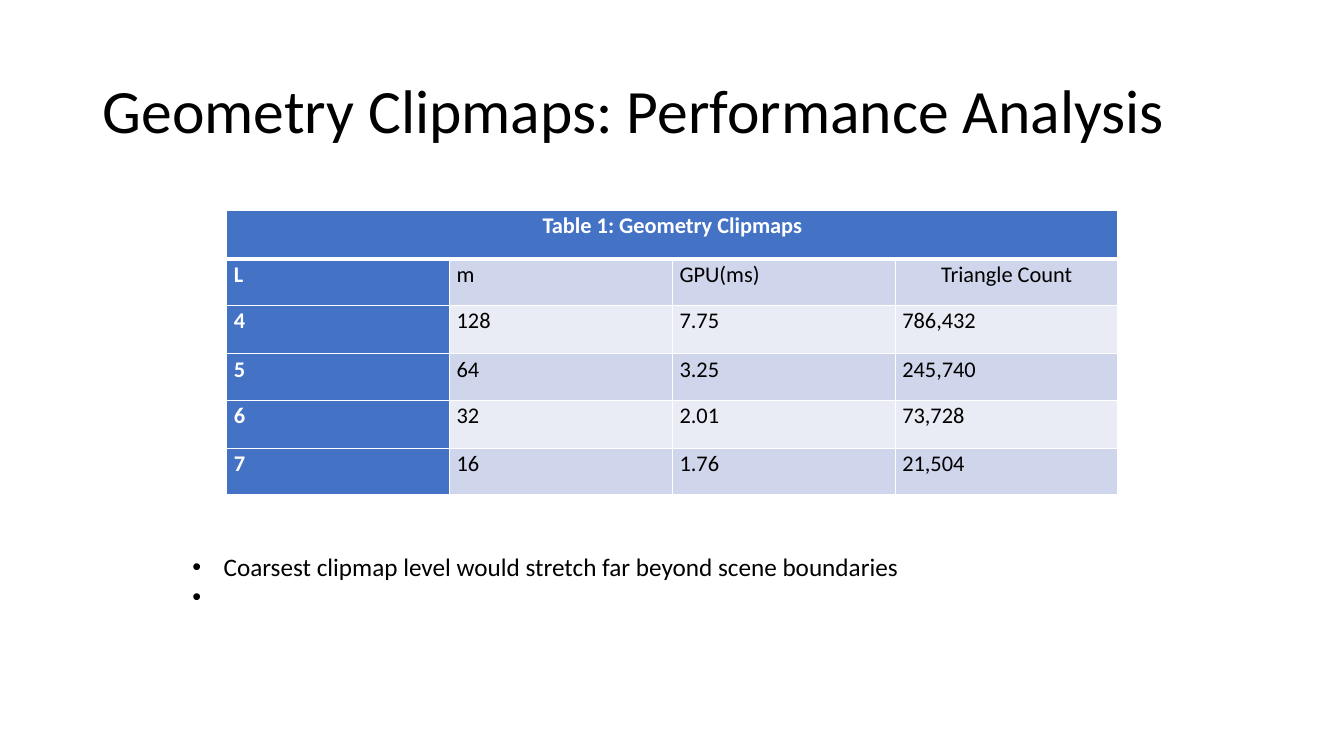
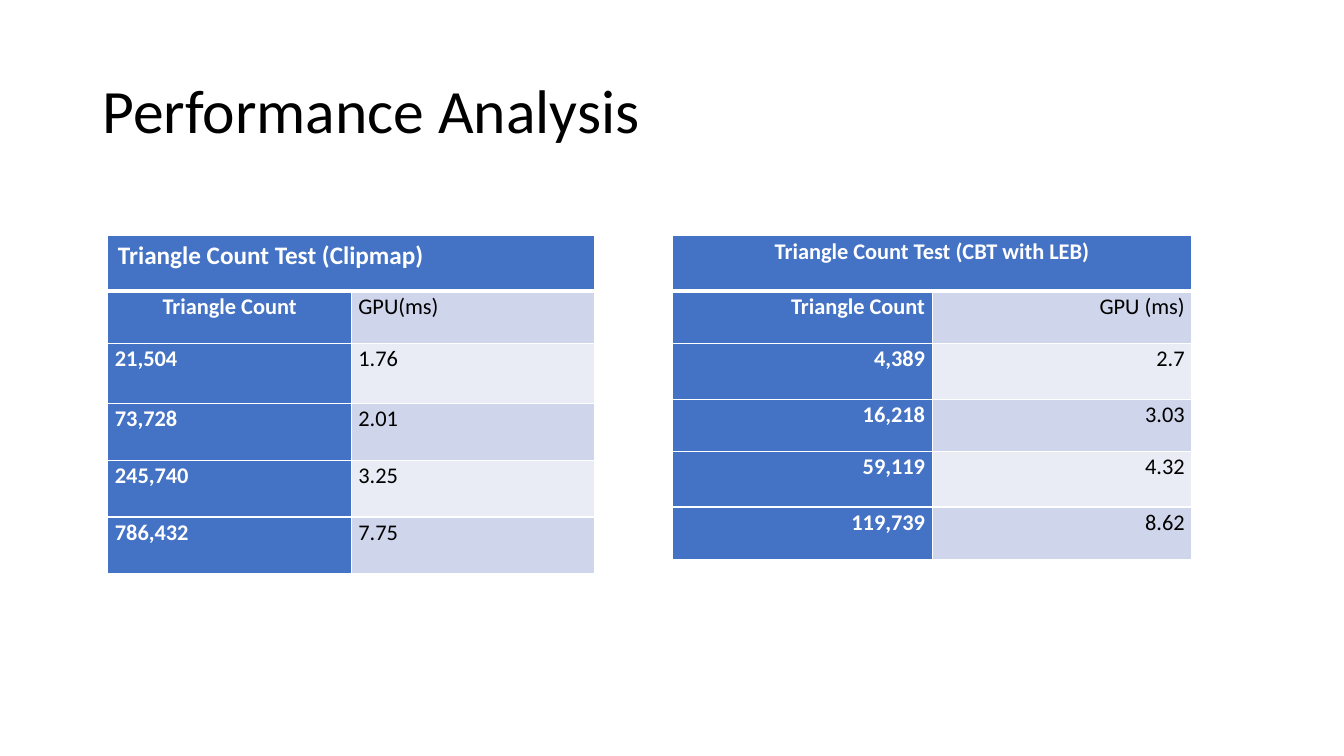
from lxml.etree import SubElement
from pptx import Presentation
from pptx.dml.color import RGBColor
from pptx.enum.text import MSO_ANCHOR, MSO_AUTO_SIZE, PP_ALIGN
from pptx.oxml import parse_xml
from pptx.oxml.ns import nsdecls, qn
from pptx.util import Pt

EMU_PER_PX = 9144
FONT = "Calibri"
BLACK = RGBColor(0x00, 0x00, 0x00)
WHITE = RGBColor(0xFF, 0xFF, 0xFF)
BLUE = RGBColor(0x44, 0x72, 0xC4)
BANDS = (RGBColor(0xCF, 0xD5, 0xEA), RGBColor(0xE9, 0xEB, 0xF5))
LEFT, CENTER, RIGHT = PP_ALIGN.LEFT, PP_ALIGN.CENTER, PP_ALIGN.RIGHT

TITLE_BOX = (92, 40, 1150, 145)
BULLET_INDENT = 31
HAIRLINE, RULE = 1, 3


def px(length):
    return length * EMU_PER_PX


def write(paragraph, text, size=16, color=BLACK, bold=False, align=LEFT, spacing=1.0):
    paragraph.alignment = align
    paragraph.line_spacing = spacing
    run = paragraph.add_run()
    run.text = text
    run.font.name = FONT
    run.font.size = Pt(size)
    run.font.bold = bold
    run.font.color.rgb = color


def add_text_frame(slide, box):
    frame = slide.shapes.add_textbox(*map(px, box)).text_frame
    frame.word_wrap = True
    return frame


def add_titled_slide(presentation, title):
    slide = presentation.slides.add_slide(presentation.slide_layouts[6])
    frame = add_text_frame(slide, TITLE_BOX)
    frame.vertical_anchor = MSO_ANCHOR.MIDDLE
    write(frame.paragraphs[0], title, size=44, spacing=0.9)
    return slide


def add_bullets(slide, box, lines):
    frame = add_text_frame(slide, box)
    frame.auto_size = MSO_AUTO_SIZE.SHAPE_TO_FIT_TEXT
    for index, line in enumerate(lines):
        paragraph = frame.add_paragraph() if index else frame.paragraphs[0]
        write(paragraph, line, size=18)
        properties = paragraph._p.get_or_add_pPr()
        properties.set("marL", str(px(BULLET_INDENT)))
        properties.set("indent", str(-px(BULLET_INDENT)))
        SubElement(properties, qn("a:buFont"), typeface="Arial")
        SubElement(properties, qn("a:buChar"), char="•")


def set_borders(cell, top, bottom):
    """Draw white borders; top and bottom are widths in points."""
    properties = cell._tc.get_or_add_tcPr()
    sides = (("lnL", HAIRLINE), ("lnR", HAIRLINE), ("lnT", top), ("lnB", bottom))
    for index, (side, width) in enumerate(sides):
        properties.insert(index, parse_xml(
            f'<a:{side} {nsdecls("a")} w="{Pt(width)}"><a:solidFill>'
            f'<a:srgbClr val="{WHITE}"/></a:solidFill></a:{side}>'))


def style_cell(cell, fill, top=HAIRLINE, bottom=HAIRLINE):
    cell.fill.solid()
    cell.fill.fore_color.rgb = fill
    set_borders(cell, top, bottom)


def set_margins(cell, horizontal, vertical):
    cell.margin_left = cell.margin_right = px(horizontal)
    cell.margin_top = cell.margin_bottom = px(vertical)


def add_result_table(slide, left, top, width, heights, caption, rows, label_aligns,
                     value_align=LEFT, caption_margins=(7, 0), **caption_format):
    """Caption across the top, then a row of labels and rows of values."""
    columns = len(rows[0])
    table = slide.shapes.add_table(len(heights), columns, px(left), px(top),
                                   px(width), px(sum(heights))).table
    table.first_row = table.horz_banding = False
    for row, height in zip(table.rows, heights):
        row.height = px(height)
    for column in table.columns:
        column.width = px(width) // columns

    for cell in table.rows[0].cells:
        style_cell(cell, BLUE, bottom=RULE)
    caption_cell = table.cell(0, 0)
    caption_cell.merge(table.cell(0, columns - 1))
    set_margins(caption_cell, *caption_margins)
    write(caption_cell.text_frame.paragraphs[0], caption, color=WHITE, bold=True,
          **caption_format)

    for row_index, values in enumerate(rows):
        is_label_row = row_index == 0
        for column_index, value in enumerate(values):
            is_key = column_index == 0
            cell = table.cell(row_index + 1, column_index)
            style_cell(cell, BLUE if is_key else BANDS[row_index % 2],
                       top=RULE if is_label_row else HAIRLINE)
            set_margins(cell, 7, 0)
            write(cell.text_frame.paragraphs[0], value,
                  color=WHITE if is_key else BLACK, bold=is_key, spacing=1.07,
                  align=label_aligns[column_index] if is_label_row else value_align)


def build_clipmap_slide(presentation):
    slide = add_titled_slide(presentation, "Geometry Clipmaps: Performance Analysis")
    add_result_table(
        slide, 225, 209, 884, (48, 46) * 3, "Table 1: Geometry Clipmaps",
        (("L", "m", "GPU(ms)", "Triangle Count"),
         ("4", "128", "7.75", "786,432"),
         ("5", "64", "3.25", "245,740"),
         ("6", "32", "2.01", "73,728"),
         ("7", "16", "1.76", "21,504")),
        (LEFT, LEFT, LEFT, CENTER), align=CENTER, spacing=1.07)
    add_bullets(slide, (181, 542, 794, 71),
                ("Coarsest clipmap level would stretch far beyond scene boundaries", " "))


def build_comparison_slide(presentation):
    slide = add_titled_slide(presentation, "Performance Analysis")
    table_top = 234
    add_result_table(
        slide, 667, table_top, 515, (55, 52) * 3, "Triangle Count Test (CBT with LEB)",
        (("Triangle Count", "GPU (ms)"),
         ("4,389", "2.7"),
         ("16,218", "3.03"),
         ("59,119", "4.32"),
         ("119,739", "8.62")),
        (RIGHT, RIGHT), value_align=RIGHT, align=CENTER, spacing=1.07)
    add_result_table(
        slide, 107, table_top, 483, (55, 52, 59, 57, 56, 56),
        "Triangle Count Test (Clipmap)",
        (("Triangle Count", "GPU(ms)"),
         ("21,504", "1.76"),
         ("73,728", "2.01"),
         ("245,740", "3.25"),
         ("786,432", "7.75")),
        (CENTER, LEFT), caption_margins=(10, 5), size=18)


def main():
    presentation = Presentation()
    presentation.slide_width, presentation.slide_height = px(1333), px(750)
    build_clipmap_slide(presentation)
    build_comparison_slide(presentation)
    presentation.save("out.pptx")


if __name__ == "__main__":
    main()
